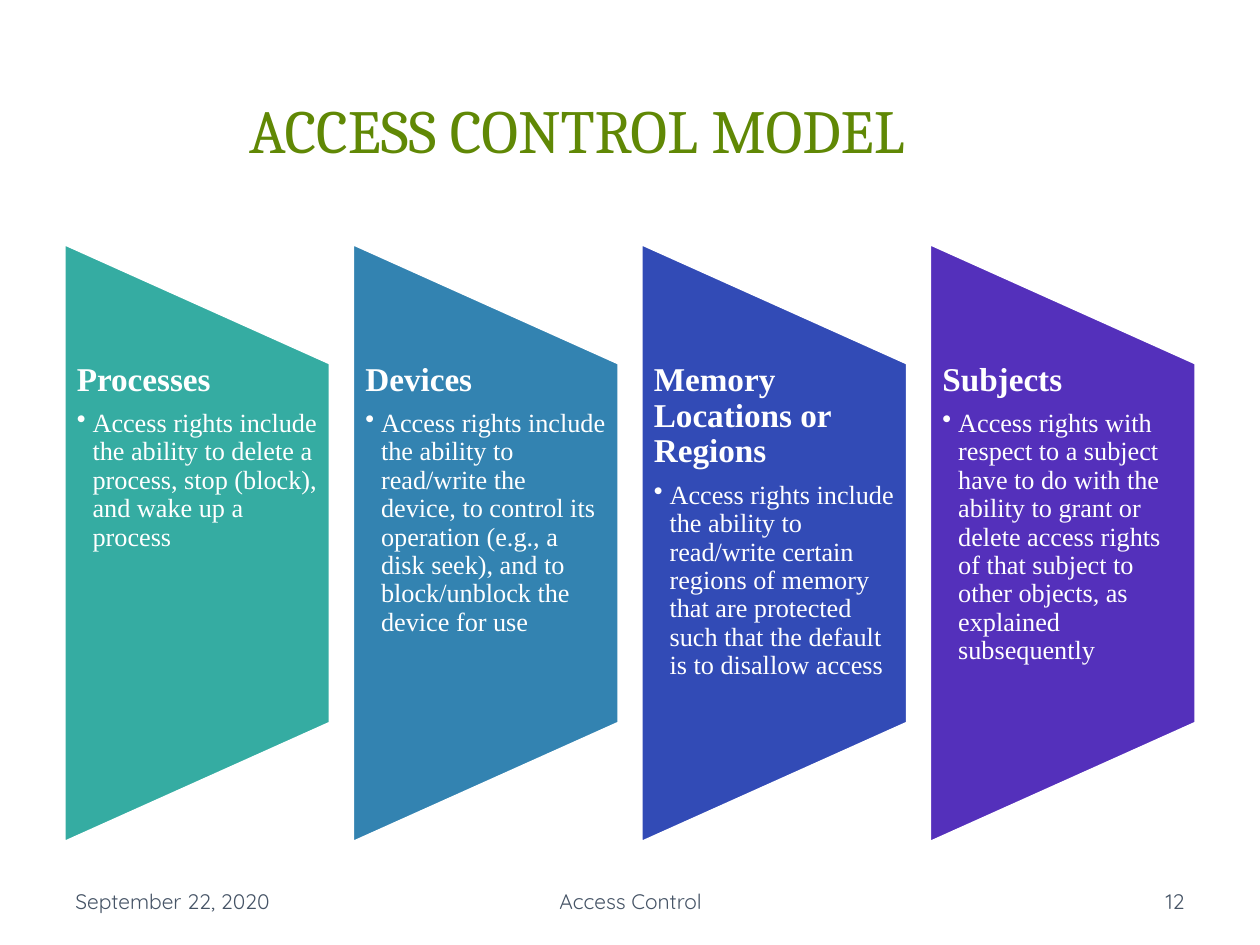
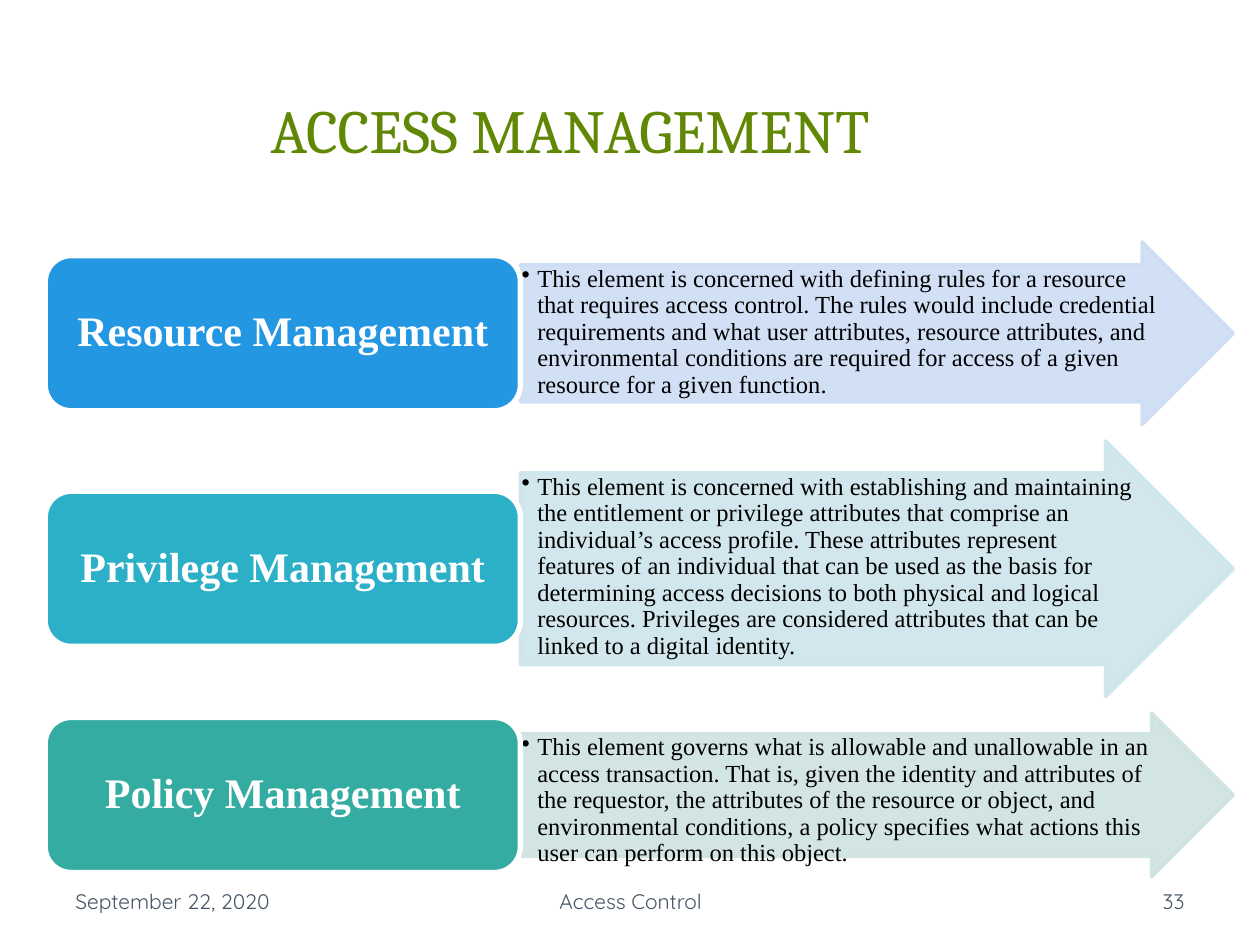
"""Build two access control slides: four kinds of objects and three management elements."""
from lxml.etree import SubElement
from pptx import Presentation
from pptx.dml.color import RGBColor
from pptx.enum.shapes import MSO_SHAPE
from pptx.enum.text import MSO_ANCHOR, MSO_AUTO_SIZE, PP_ALIGN
from pptx.oxml.ns import qn
from pptx.util import Inches, Pt

COLORS = {
    "title": "608805", "footer": "465466", "white": "FFFFFF", "black": "000000",
    "teal": "35ACA2", "steel": "3383B1", "indigo": "324BB6", "violet": "5430BB",
    "blue": "2397E2", "cyan": "2BB0C8",
    "pale blue": "CDDDF4", "pale cyan": "CDE5EC", "pale teal": "CEE3E0",
}
SERIF = "Times New Roman"
WIDTH, HEIGHT = 10, 7.5
MARGIN = WIDTH * 0.05
CONTENT = WIDTH - 2 * MARGIN
TOP = 1.92


def write(frame, text, size, color, font=SERIF, bold=False, align=PP_ALIGN.LEFT,
          anchor=MSO_ANCHOR.TOP, insets=(0.1, 0.05), spacing=0.9, after=0, bullet=False):
    """Add one formatted paragraph to a text frame."""
    frame.word_wrap = True
    frame.auto_size = MSO_AUTO_SIZE.NONE
    frame.vertical_anchor = anchor
    frame.margin_left = frame.margin_right = Inches(insets[0])
    frame.margin_top = frame.margin_bottom = Inches(insets[1])
    paragraph = frame.add_paragraph() if frame.text else frame.paragraphs[0]
    paragraph.alignment = align
    paragraph.line_spacing = spacing
    paragraph.space_before = Pt(0)
    paragraph.space_after = Pt(after)
    if bullet:
        paragraph.level = 1
        properties = paragraph._p.get_or_add_pPr()
        properties.set("marL", str(Inches(0.125)))
        properties.set("indent", str(-Inches(0.125)))
        SubElement(properties, qn("a:buChar"), char="•")
    run = paragraph.add_run()
    run.text = text
    run.font.name, run.font.size, run.font.bold = font, Pt(size), bold
    run.font.color.rgb = RGBColor.from_string(COLORS[color])


def draw(slide, preset, box, fill, outline="white", weight=3, opacity=100):
    """Add a flat preset shape."""
    shape = slide.shapes.add_shape(preset, *map(Inches, box))
    shape.shadow.inherit = False
    shape.fill.solid()
    shape.fill.fore_color.rgb = RGBColor.from_string(COLORS[fill])
    shape.line.color.rgb = RGBColor.from_string(COLORS[outline])
    shape.line.width = Pt(weight)
    if opacity < 100:
        for color in shape._element.spPr.iter(qn("a:srgbClr")):
            SubElement(color, qn("a:alpha"), val=str(opacity * 1000))
    return shape


presentation = Presentation()
presentation.slide_width, presentation.slide_height = Inches(WIDTH), Inches(HEIGHT)

slides = []
for heading, number in (("ACCESS CONTROL MODEL", "12"), ("ACCESS MANAGEMENT ", "33")):
    slide = presentation.slides.add_slide(presentation.slide_layouts[5])
    title = slide.shapes.title
    title.left, title.top, title.width, title.height = map(Inches, (0.47, 0.45, 8.22, 1.14))
    write(title.text_frame, heading, 35, "title", font="Cambria", align=PP_ALIGN.CENTER,
          anchor=MSO_ANCHOR.MIDDLE, spacing=1.0)
    for left, width, label, align in (
        (MARGIN, 2.33, "September 22, 2020", PP_ALIGN.LEFT),
        (3.42, 3.17, "Access Control", PP_ALIGN.CENTER),
        (WIDTH - MARGIN - 2.33, 2.33, number, PP_ALIGN.RIGHT),
    ):
        footer = slide.shapes.add_textbox(*map(Inches, (left, 6.95, width, 0.4)))
        write(footer.text_frame, label, 12, "footer", font="Quicksand", align=align,
              anchor=MSO_ANCHOR.MIDDLE, spacing=1.0)
    slides.append(slide)
model, management = slides

OBJECTS = (
    ("Processes", "teal",
     "Access rights include the ability to delete a process, stop (block), "
     "and wake up a process"),
    ("Devices", "steel",
     "Access rights include the ability to read/write the device, to control its operation "
     "(e.g., a disk seek), and to block/unblock the device for use"),
    ("Memory Locations or Regions", "indigo",
     "Access rights include the ability to read/write certain regions of memory that are "
     "protected such that the default is to disallow access"),
    ("Subjects", "violet",
     "Access rights with respect to a subject have to do with the ability to grant or delete "
     "access rights of that subject to other objects, as explained subsequently"),
)
card_width, card_height = 2.13, 4.78
card_pitch = (CONTENT - card_width) / (len(OBJECTS) - 1)
for column, (name, color, rights) in enumerate(OBJECTS):
    left = MARGIN + column * card_pitch
    turn = (card_height - card_width) / 2
    card = draw(model, MSO_SHAPE.FLOWCHART_MANUAL_OPERATION,
                (left - turn, TOP + turn, card_height, card_width), color)
    card.rotation = 270
    details = model.shapes.add_textbox(
        *map(Inches, (left, TOP + card_height / 5, card_width, card_height * 3 / 5)))
    write(details.text_frame, name, 19, "white", bold=True, insets=(0.11, 0), after=6.65)
    write(details.text_frame, rights, 15, "white", insets=(0.11, 0), bullet=True)

ELEMENTS = (
    ("Resource Management", "blue", "pale blue", 1.45,
     "This element is concerned with defining rules for a resource that requires access "
     "control. The rules would include credential requirements and what user attributes, "
     "resource attributes, and environmental conditions are required for access of a given "
     "resource for a given function."),
    ("Privilege Management", "cyan", "pale cyan", 2.03,
     "This element is concerned with establishing and maintaining the entitlement or "
     "privilege attributes that comprise an individual’s access profile. These attributes "
     "represent features of an individual that can be used as the basis for determining "
     "access decisions to both physical and logical resources. Privileges are considered "
     "attributes that can be linked to a digital identity."),
    ("Policy Management", "teal", "pale teal", 1.3,
     "This element governs what is allowable and unallowable in an access transaction. That "
     "is, given the identity and attributes of the requestor, the attributes of the resource "
     "or object, and environmental conditions, a policy specifies what actions this user can "
     "perform on this object."),
)
label_left, label_width, label_height = 0.36, 3.77, 1.23
arrow_left, arrow_width, row_gap = label_left + label_width, 5.66, 0.13
row_top = TOP
for name, color, tint, arrow_height, description in ELEMENTS:
    arrow = draw(management, MSO_SHAPE.RIGHT_ARROW,
                 (arrow_left, row_top, arrow_width, arrow_height),
                 tint, outline=tint, weight=2, opacity=90)
    arrow.adjustments[0], arrow.adjustments[1] = 0.75, 0.5
    write(arrow.text_frame, description, 14, "black", insets=(0.01, 0.01), bullet=True)
    label_top = row_top + (arrow_height - label_height) / 2
    label = draw(management, MSO_SHAPE.ROUNDED_RECTANGLE,
                 (label_left, label_top, label_width, label_height), color)
    write(label.text_frame, name, 24, "white", bold=True, align=PP_ALIGN.CENTER,
          anchor=MSO_ANCHOR.MIDDLE)
    row_top += arrow_height + row_gap

presentation.save("out.pptx")
